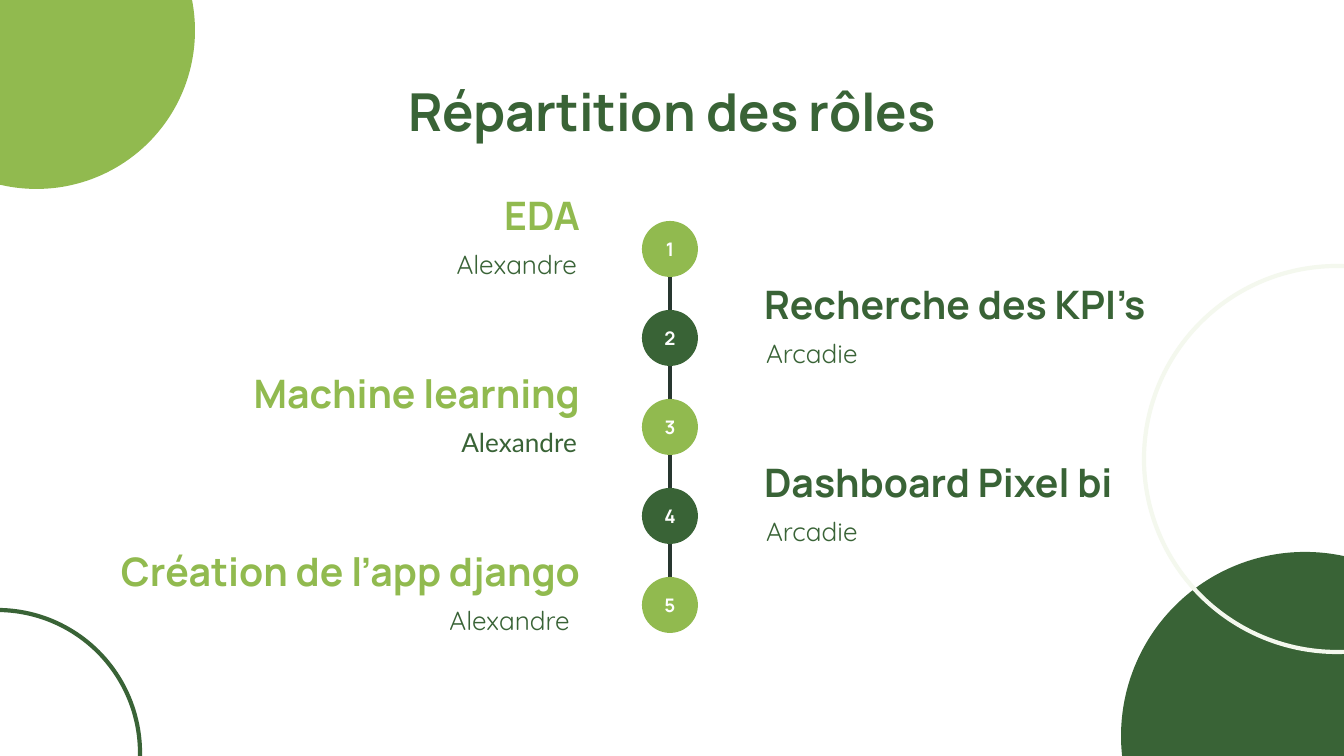
from dataclasses import dataclass

from lxml import etree
from pptx import Presentation
from pptx.dml.color import RGBColor
from pptx.enum.shapes import MSO_CONNECTOR, MSO_SHAPE
from pptx.enum.text import MSO_ANCHOR, PP_ALIGN
from pptx.oxml.ns import qn
from pptx.util import Emu, Pt

ELLIPSE = MSO_SHAPE.OVAL
STRAIGHT = MSO_CONNECTOR.STRAIGHT
LEFT, CENTER, RIGHT = PP_ALIGN.LEFT, PP_ALIGN.CENTER, PP_ALIGN.RIGHT
TOP, MIDDLE = MSO_ANCHOR.TOP, MSO_ANCHOR.MIDDLE

EMU_PER_PX = 914400 / 134.4
SLIDE_WIDTH, SLIDE_HEIGHT = 1344, 756
DARK, LIGHT, PALE, LINE, WHITE = "396336", "91BA4F", "F4F8EE", "283730", "FFFFFF"
LINE_WIDTH = 2.25

NODE_LEFT, NODE_TOP, NODE_SIZE, NODE_PITCH = 642, 221, 56, 89
HEADING_OFFSET, HEADING_HEIGHT = -43, 62
NAME_OFFSET, NAME_WIDTH, NAME_HEIGHT = 22, 259, 77
LEFT_HEADING_EDGE, RIGHT_HEADING_EDGE = 593, 751
LEFT_NAME_EDGE, RIGHT_NAME_EDGE = 588, 755


@dataclass(frozen=True)
class Box:
    left: int
    top: int
    width: int
    height: int


@dataclass(frozen=True)
class TextStyle:
    font: str
    size: int
    color: str
    bold: bool = False
    align: PP_ALIGN = LEFT
    anchor: MSO_ANCHOR = TOP
    inset_x: int = 13
    inset_y: int = 13


@dataclass(frozen=True)
class Circle:
    box: Box
    fill: str | None = None
    line: str | None = None


@dataclass(frozen=True)
class Role:
    heading: str
    name: str
    heading_width: int
    name_font: str = "Quicksand"


CIRCLES = [
    Circle(Box(1121, 552, 368, 368), fill=DARK),
    Circle(Box(-122, -128, 317, 317), fill=LIGHT),
    Circle(Box(-146, 610, 286, 286), line=DARK),
    Circle(Box(1144, 266, 386, 386), line=PALE),
]

ROLES = [
    Role("EDA", "Alexandre", 368),
    Role("Recherche des KPI’s", "Arcadie", 444),
    Role("Machine learning", "Alexandre", 395, "Lato"),
    Role("Dashboard Pixel bi", "Arcadie", 466),
    Role("Création de l’app django", "Alexandre ", 539),
]


def px(length: int) -> Emu:
    return Emu(round(length * EMU_PER_PX))


def rgb(color: str) -> RGBColor:
    return RGBColor.from_string(color)


def place(box: Box) -> tuple[Emu, ...]:
    return px(box.left), px(box.top), px(box.width), px(box.height)


def set_attributes(target, values: dict) -> None:
    for name, value in values.items():
        setattr(target, name, value)


def write_text(shape, text: str, style: TextStyle) -> None:
    set_attributes(shape.text_frame, {
        "word_wrap": True,
        "vertical_anchor": style.anchor,
        "margin_left": px(style.inset_x),
        "margin_right": px(style.inset_x),
        "margin_top": px(style.inset_y),
        "margin_bottom": px(style.inset_y),
    })
    paragraph = shape.text_frame.paragraphs[0]
    paragraph.alignment = style.align
    run = paragraph.add_run()
    run.text = text
    set_attributes(run.font, {
        "name": style.font, "size": Pt(style.size), "bold": style.bold,
    })
    run.font.color.rgb = rgb(style.color)


def add_text(slide, box: Box, text: str, style: TextStyle) -> None:
    write_text(slide.shapes.add_textbox(*place(box)), text, style)


def add_circle(slide, circle: Circle):
    shape = slide.shapes.add_shape(ELLIPSE, *place(circle.box))
    shape.shadow.inherit = False
    if circle.fill:
        shape.fill.solid()
        shape.fill.fore_color.rgb = rgb(circle.fill)
    else:
        shape.fill.background()
    if circle.line:
        shape.line.color.rgb = rgb(circle.line)
        shape.line.width = Pt(LINE_WIDTH)
    else:
        shape.line.fill.background()
    return shape


def add_timeline_line(slide) -> None:
    center = px(NODE_LEFT + NODE_SIZE // 2)
    start = px(NODE_TOP + NODE_SIZE)
    end = px(NODE_TOP + NODE_PITCH * (len(ROLES) - 1))
    connector = slide.shapes.add_connector(STRAIGHT, center, start, center, end)
    connector.line.color.rgb = rgb(LINE)
    connector.line.width = Pt(LINE_WIDTH)
    etree.SubElement(connector._element.spPr, qn("a:effectLst"))


def add_role(slide, index: int, role: Role) -> None:
    on_left = index % 2 == 0
    color = LIGHT if on_left else DARK
    align = RIGHT if on_left else LEFT
    top = NODE_TOP + index * NODE_PITCH
    heading_left = LEFT_HEADING_EDGE - role.heading_width if on_left else RIGHT_HEADING_EDGE
    name_left = LEFT_NAME_EDGE - NAME_WIDTH if on_left else RIGHT_NAME_EDGE

    add_text(slide, Box(name_left, top + NAME_OFFSET, NAME_WIDTH, NAME_HEIGHT), role.name,
             TextStyle(role.name_font, 14, DARK, align=align, inset_x=11, inset_y=5))
    add_text(slide, Box(heading_left, top + HEADING_OFFSET, role.heading_width, HEADING_HEIGHT),
             role.heading, TextStyle("Manrope", 21, color, bold=True, align=align))
    node = add_circle(slide, Circle(Box(NODE_LEFT, top, NODE_SIZE, NODE_SIZE), fill=color))
    write_text(node, str(index + 1),
               TextStyle("Manrope", 10, WHITE, bold=True, align=CENTER, anchor=MIDDLE))


def main() -> None:
    presentation = Presentation()
    set_attributes(presentation, {
        "slide_width": px(SLIDE_WIDTH), "slide_height": px(SLIDE_HEIGHT),
    })
    slide = presentation.slides.add_slide(presentation.slide_layouts[6])
    slide.background.fill.solid()
    slide.background.fill.fore_color.rgb = rgb(WHITE)

    for circle in CIRCLES:
        add_circle(slide, circle)
    add_timeline_line(slide)
    add_text(slide, Box(46, 66, 1252, 85), "Répartition des rôles",
             TextStyle("Manrope", 28, DARK, bold=True, align=CENTER))
    for index, role in enumerate(ROLES):
        add_role(slide, index, role)

    presentation.save("out.pptx")


if __name__ == "__main__":
    main()
